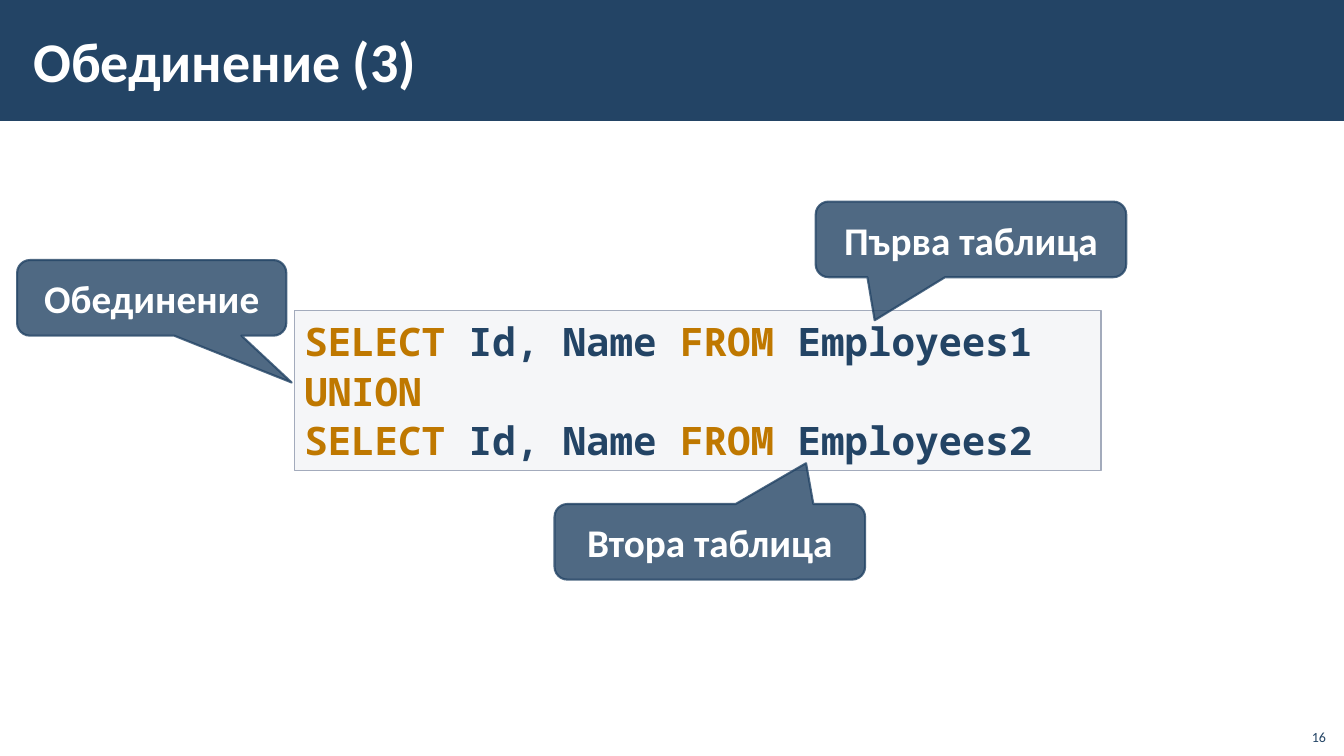
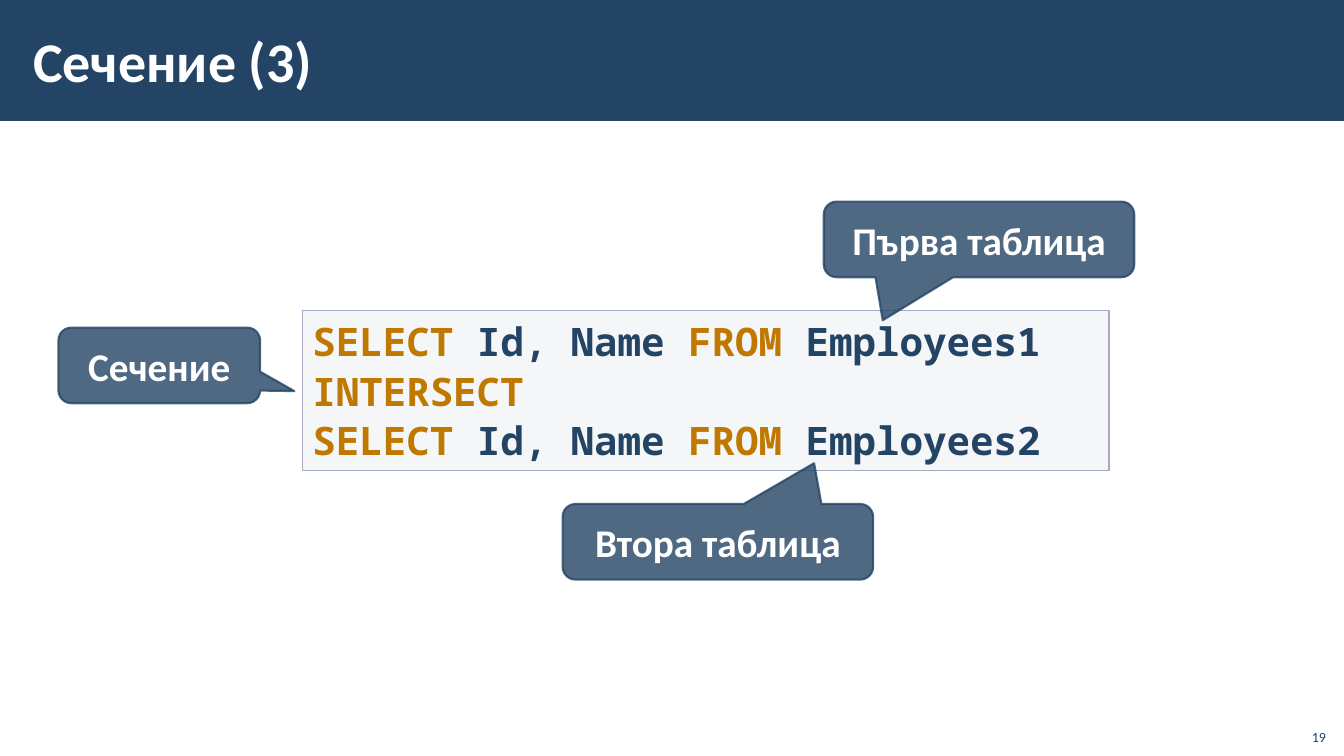
import pptx
import pptx.util
import pptx.dml.color
import pptx.enum.shapes
import pptx.enum.text
import pptx.oxml.ns
from lxml import etree

Inches, Pt = pptx.util.Inches, pptx.util.Pt
SHAPE = pptx.enum.shapes.MSO_SHAPE
ALIGN = pptx.enum.text.PP_ALIGN
ANCHOR = pptx.enum.text.MSO_ANCHOR

COLORS = {
    "navy": "234465",
    "white": "FFFFFF",
    "keyword": "BF7800",
    "code_fill": "C2C7D2",
    "code_line": "A3ABBC",
}
TEXT_FONT, CODE_FONT = "Calibri", "Noto Sans Mono"
KEYWORDS = {"SELECT", "FROM", "UNION", "INTERSECT"}
CODE_TOP, CODE_W, CODE_H = 3.08, 8, 1.59
CALLOUT_H = 0.75

# Table callouts: text, offset from the code's left edge, top, width, pointer
TABLE_CALLOUTS = [
    ("Първа таблица", 5.17, 2, 3.08, (-0.31, 1.07)),
    ("Втора таблица", 2.58, 5, 3.08, (0.31, -1.04)),
]
SLIDES = [
    {
        "title": "Обединение (3)",
        "number": "16",
        "operator": "UNION",
        "code_left": 2.92,
        "callout": ("Обединение", -2.75, 2.58, 2.67, (0.52, 1.12)),
    },
    {
        "title": "Сечение (3)",
        "number": "19",
        "operator": "INTERSECT",
        "code_left": 3,
        "callout": ("Сечение", -2.42, 3.25, 2, (0.67, 0.34)),
    },
]


def rgb(name):
    return pptx.dml.color.RGBColor.from_string(COLORS[name])


def set_alpha(color_parent, percent):
    """Make the solid colour inside a fill or line element see-through."""
    for clr in color_parent.findall(".//" + pptx.oxml.ns.qn("a:srgbClr")):
        alpha = etree.SubElement(clr, pptx.oxml.ns.qn("a:alpha"))
        alpha.set("val", str(percent * 1000))


def add_box(slide, preset, at, fill, line=None, line_width=1):
    sp = slide.shapes.add_shape(preset, *map(Inches, at))
    sp.shadow.inherit = False
    sp.fill.solid()
    sp.fill.fore_color.rgb = rgb(fill)
    if line:
        sp.line.color.rgb = rgb(line)
        sp.line.width = Pt(line_width)
    else:
        sp.line.fill.background()
    sp.text_frame.word_wrap = True
    return sp


def add_run(p, text, size, color, bold=True, font=TEXT_FONT):
    r = p.add_run()
    r.text = text
    r.font.name = font
    r.font.size = Pt(size)
    r.font.bold = bold
    r.font.color.rgb = rgb(color)


def add_label(slide, at, text, size, color, bold, align, anchor, margins=(0.1, 0.05)):
    tf = slide.shapes.add_textbox(*map(Inches, at)).text_frame
    tf.word_wrap = True
    tf.vertical_anchor = anchor
    tf.margin_left = tf.margin_right = Inches(margins[0])
    tf.margin_top = tf.margin_bottom = Inches(margins[1])
    p = tf.paragraphs[0]
    p.alignment = align
    add_run(p, text, size, color, bold)


def add_frame(slide, title, number):
    """Title band, title and slide number."""
    add_box(slide, SHAPE.RECTANGLE, (0, 0, 13.34, 1.2), "navy")
    add_label(slide, (0.21, 0.11, 11.23, 0.97), title, 40, "white", True,
              ALIGN.LEFT, ANCHOR.MIDDLE, (0.12, 0.04))
    add_label(slide, (12.85, 7.12, 0.4, 0.32), number, 10, "navy", False,
              ALIGN.RIGHT, ANCHOR.BOTTOM)


def split_code(line):
    """Yield (text, is_keyword) pieces, joining the plain words between keywords."""
    plain = ""
    for i, word in enumerate(line.split(" ")):
        gap = " " if i else ""
        if word in KEYWORDS:
            if plain + gap:
                yield plain + gap, False
            yield word, True
            plain = ""
        else:
            plain += gap + word
    if plain:
        yield plain, False


def add_code(slide, left, lines):
    sp = add_box(slide, SHAPE.RECTANGLE, (left, CODE_TOP, CODE_W, CODE_H),
                 "code_fill", "code_line")
    set_alpha(sp.fill._xPr.find(pptx.oxml.ns.qn("a:solidFill")), 15)
    tf = sp.text_frame
    tf.vertical_anchor = ANCHOR.TOP
    tf.auto_size = pptx.enum.text.MSO_AUTO_SIZE.SHAPE_TO_FIT_TEXT
    for i, line in enumerate(lines):
        p = tf.add_paragraph() if i else tf.paragraphs[0]
        p.alignment = ALIGN.LEFT
        p.line_spacing = 1.05
        for text, is_keyword in split_code(line):
            add_run(p, text, 28, "keyword" if is_keyword else "navy", font=CODE_FONT)


def add_callout(slide, code_left, text, offset, top, width, pointer):
    sp = add_box(slide, SHAPE.ROUNDED_RECTANGULAR_CALLOUT,
                 (code_left + offset, top, width, CALLOUT_H), "navy", "navy", 1.5)
    set_alpha(sp._element.spPr, 80)
    sp.adjustments[0], sp.adjustments[1] = pointer
    sp.adjustments[2] = 0.17
    sp.text_frame.vertical_anchor = ANCHOR.MIDDLE
    p = sp.text_frame.paragraphs[0]
    p.alignment = ALIGN.CENTER
    add_run(p, text, 28, "white")


def main():
    prs = pptx.Presentation()
    prs.slide_width, prs.slide_height = Inches(13.33), Inches(7.5)
    for content in SLIDES:
        slide = prs.slides.add_slide(prs.slide_layouts[6])
        add_frame(slide, content["title"], content["number"])
        left = content["code_left"]
        first, second = (f"SELECT Id, Name FROM Employees{n}" for n in (1, 2))
        add_code(slide, left, [first, content["operator"], second])
        for callout in TABLE_CALLOUTS + [content["callout"]]:
            add_callout(slide, left, *callout)
    prs.save("out.pptx")


if __name__ == "__main__":
    main()
